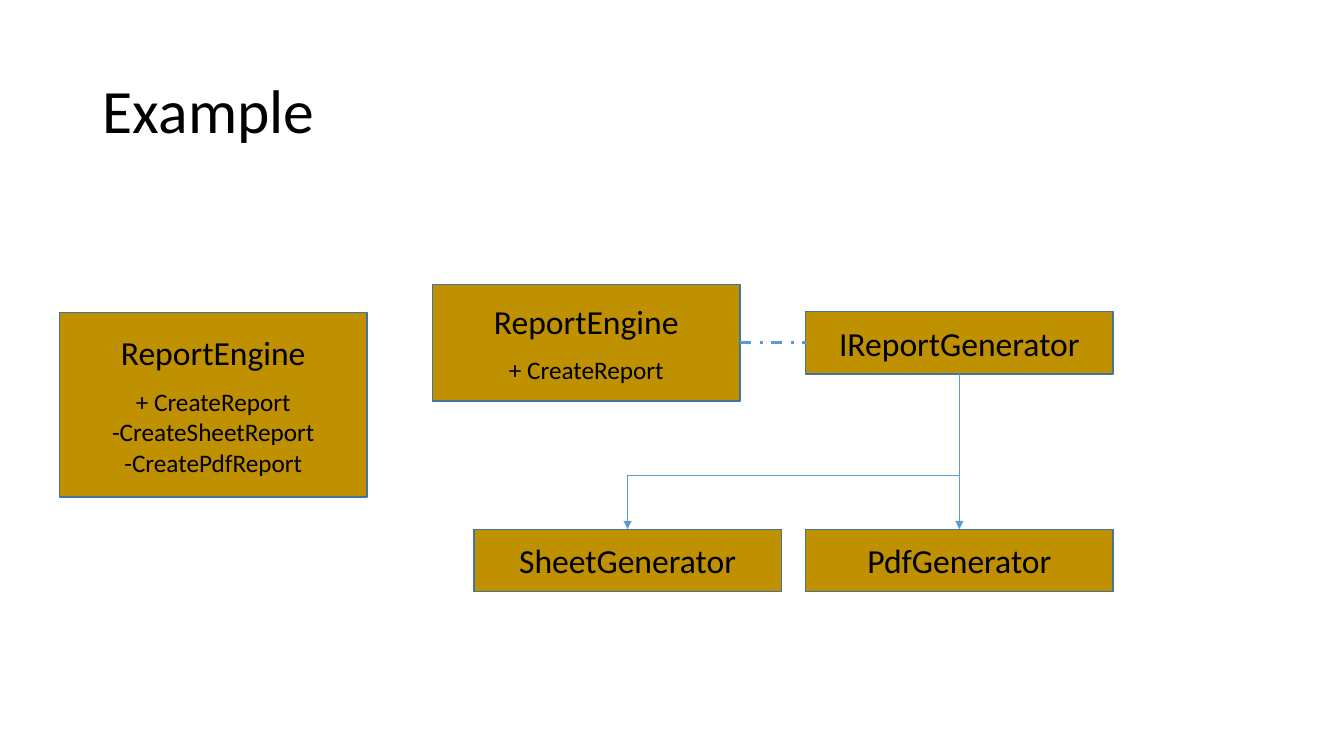
import dataclasses
import typing

import pptx
import pptx.dml.color
import pptx.enum.dml
import pptx.enum.shapes
import pptx.enum.text
import pptx.oxml.ns
import pptx.util
from lxml import etree

Inches = pptx.util.Inches
Pt = pptx.util.Pt
RGB = pptx.dml.color.RGBColor.from_string
Align = pptx.enum.text.PP_ALIGN
Anchor = pptx.enum.text.MSO_ANCHOR
Kind = pptx.enum.shapes.MSO_CONNECTOR
Point = tuple[float, float]


@dataclasses.dataclass(frozen=True)
class Theme:
    font: str = "Calibri"
    ink: str = "000000"
    fill: str = "BF9000"
    edge: str = "43739E"
    link: str = "5B9BD5"
    title: int = 44
    name: int = 24
    method: int = 18
    gap: int = 10


@dataclasses.dataclass(frozen=True)
class Box:
    name: str
    left: float
    top: float
    high: float
    methods: tuple[str, ...] = ()
    wide: float = 3.05

    @property
    def head(self) -> Point:
        return self.left + self.wide / 2, self.top

    @property
    def foot(self) -> Point:
        return self.left + self.wide / 2, self.top + self.high

    @property
    def west(self) -> Point:
        return self.left, self.top + self.high / 2

    @property
    def east(self) -> Point:
        return self.left + self.wide, self.top + self.high / 2


@dataclasses.dataclass(frozen=True)
class Link:
    start: Point
    end: Point
    width: float
    bent: bool = False
    dash: bool = False
    arrow: bool = True


THEME = Theme()

# Classes: one with every task, then the split design
WHOLE = Box("ReportEngine", 0.59, 3.1, 1.83,
            ("+ CreateReport", "-CreateSheetReport", "-CreatePdfReport"))
ENGINE = Box("ReportEngine", 4.29, 2.82, 1.16, ("+ CreateReport",))
BASE = Box("IReportGenerator", 7.99, 3.09, 0.62)
SHEET = Box("SheetGenerator", 4.7, 5.25, 0.62)
PDF = Box("PdfGenerator", 7.99, 5.25, 0.62)
BOXES = (WHOLE, ENGINE, BASE, SHEET, PDF)

# Links: use, then the two heirs
FORK = (BASE.foot[0], 4.72)
LINKS = (
    Link(ENGINE.east, BASE.west, 2, dash=True, arrow=False),
    Link(FORK, SHEET.head, 0.5, bent=True),
    Link(BASE.foot, PDF.head, 1),
)


def apply(item: typing.Any, values: dict[str, typing.Any]) -> None:
    for key, value in values.items():
        setattr(item, key, value)


def write(para: typing.Any, text: str, size: int, values: dict[str, typing.Any]) -> None:
    apply(para, values)
    run = para.add_run()
    run.text = text
    apply(run.font, {"name": THEME.font, "size": Pt(size)})
    run.font.color.rgb = RGB(THEME.ink)


def draw_title(slide: typing.Any, text: str) -> None:
    title = slide.shapes.title
    apply(title, {"left": Inches(0.92), "top": Inches(0.4),
                  "width": Inches(11.5), "height": Inches(1.45)})
    frame = title.text_frame
    apply(frame, {"vertical_anchor": Anchor.MIDDLE, "word_wrap": True,
                  "auto_size": pptx.enum.text.MSO_AUTO_SIZE.NONE})
    write(frame.paragraphs[0], text, THEME.title,
          {"alignment": Align.LEFT, "line_spacing": 0.9})


def draw_box(slide: typing.Any, box: Box) -> None:
    shape = slide.shapes.add_shape(
        pptx.enum.shapes.MSO_SHAPE.RECTANGLE,
        *map(Inches, (box.left, box.top, box.wide, box.high)))
    shape.shadow.inherit = False
    shape.fill.solid()
    shape.fill.fore_color.rgb = RGB(THEME.fill)
    shape.line.color.rgb = RGB(THEME.edge)
    shape.line.width = Pt(1)
    frame = shape.text_frame
    apply(frame, {"vertical_anchor": Anchor.MIDDLE, "word_wrap": True})
    write(frame.paragraphs[0], box.name, THEME.name, {"alignment": Align.CENTER})
    for row, method in enumerate(box.methods):
        write(frame.add_paragraph(), method, THEME.method,
              {"alignment": Align.CENTER,
               "space_before": Pt(0 if row else THEME.gap)})


def draw_link(slide: typing.Any, link: Link) -> None:
    kind = Kind.ELBOW if link.bent else Kind.STRAIGHT
    line = slide.shapes.add_connector(kind, *map(Inches, link.start + link.end))
    line.line.color.rgb = RGB(THEME.link)
    line.line.width = Pt(link.width)
    if link.dash:
        line.line.dash_style = pptx.enum.dml.MSO_LINE.DASH_DOT
    props = line._element.spPr
    qn = pptx.oxml.ns.qn
    if link.bent:  # one corner only
        props.find(qn("a:prstGeom")).set("prst", "bentConnector2")
    if link.arrow:
        etree.SubElement(props.find(qn("a:ln")), qn("a:tailEnd"), type="triangle")
    etree.SubElement(props, qn("a:effectLst"))


def main() -> None:
    deck = pptx.Presentation()
    apply(deck, {"slide_width": Inches(13.33), "slide_height": Inches(7.5)})
    slide = deck.slides.add_slide(deck.slide_layouts.get_by_name("Title Only"))
    draw_title(slide, "Example")
    for box in BOXES:
        draw_box(slide, box)
    for link in LINKS:
        draw_link(slide, link)
    deck.save("out.pptx")


if __name__ == "__main__":
    main()
